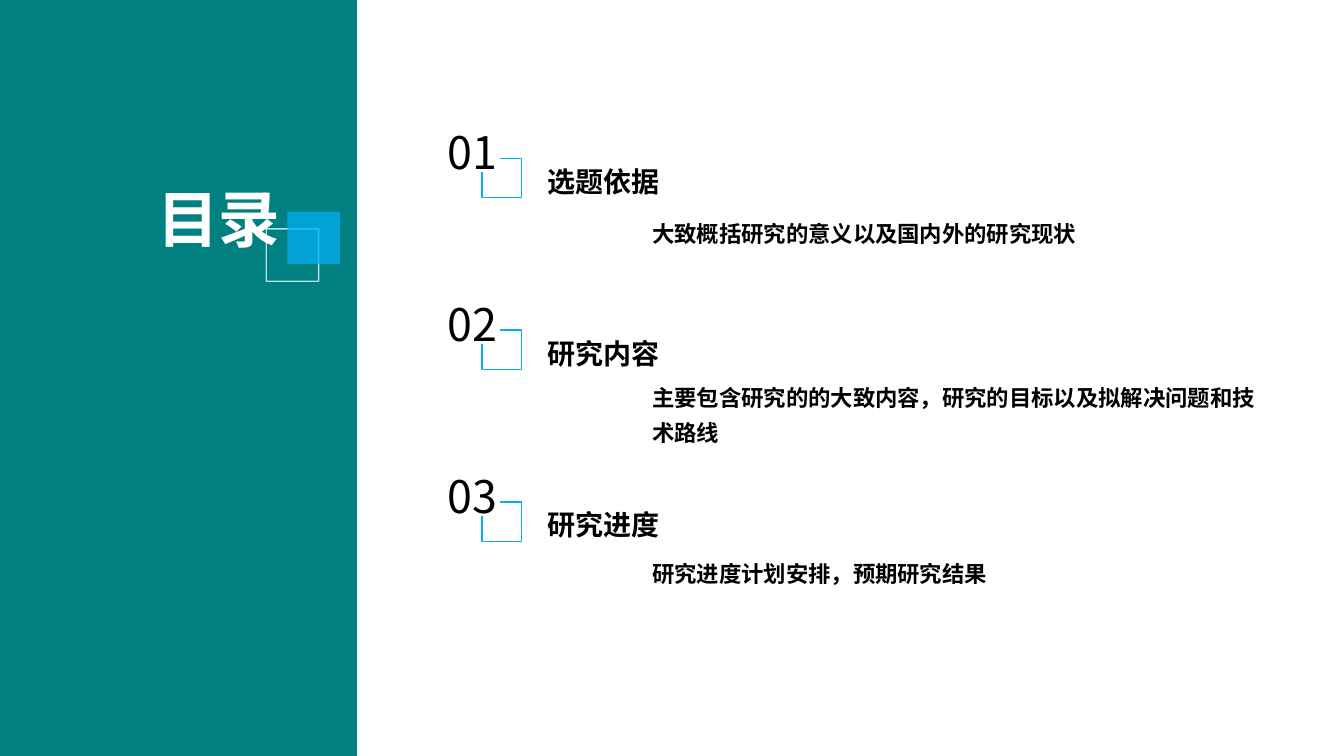
from lxml import etree
from pptx import Presentation
from pptx.dml.color import RGBColor
from pptx.enum.shapes import MSO_SHAPE
from pptx.enum.text import MSO_AUTO_SIZE
from pptx.oxml.ns import qn
from pptx.util import Inches, Pt

RECTANGLE = MSO_SHAPE.RECTANGLE
GROW = MSO_AUTO_SIZE.SHAPE_TO_FIT_TEXT
FONT = "Noto Sans CJK SC"
TEAL = RGBColor(0x00, 0x80, 0x80)
SKY = RGBColor(0x00, 0xB0, 0xF0)
WHITE = RGBColor(0xFF, 0xFF, 0xFF)
BLACK = RGBColor(0x00, 0x00, 0x00)

FIRST_TOP = 1.19
ROW_STEP = 1.705
SECTIONS = [
    ("01", "选题依据", 2.05, 0.42, ["大致概括研究的意义以及国内外的研究现状"]),
    ("02", "研究内容", 3.68, 0.77,
     ["主要包含研究的的大致内容，研究的目标以及拟解决问题和技", "术路线"]),
    ("03", "研究进度", 5.43, 0.42, ["研究进度计划安排，预期研究结果"]),
]


def add_text(page, area, lines, size, color=BLACK, bold=False, wrap=False):
    box = page.shapes.add_textbox(*map(Inches, area))
    frame = box.text_frame
    frame.word_wrap = wrap
    frame.auto_size = GROW
    frame.text = "\n".join(lines)
    for para in frame.paragraphs:
        for span in para.runs:
            span.font.name = FONT
            span.font.size = Pt(size)
            span.font.bold = bold
            span.font.color.rgb = color
            east_asian = etree.SubElement(span.font._element, qn("a:ea"))
            east_asian.set("typeface", FONT)
    return frame


def add_description(page, top, height, lines):
    frame = add_text(page, (5.87, top, 6.76, height), lines, 16, bold=True, wrap=True)
    for para in frame.paragraphs:
        para.line_spacing = 1.3
        properties = para._p.get_or_add_pPr()
        properties.set("marL", "0")
        properties.set("indent", str(Inches(0.5)))


def add_open_square(page, top):
    points = [(4.96, top), (5.17, top), (5.17, top + 0.39),
              (4.78, top + 0.39), (4.78, top + 0.14)]
    corners = [(Inches(x), Inches(y)) for x, y in points]
    builder = page.shapes.build_freeform(*corners[0])
    builder.add_line_segments(corners[1:], close=False)
    shape = builder.convert_to_shape()
    shape.shadow.inherit = False
    shape.fill.background()
    shape.line.color.rgb = SKY
    shape.line.width = Pt(1)


def paint(fill, color, opacity):
    fill.solid()
    fill.fore_color.rgb = color
    color_element = fill._xPr.find(qn("a:solidFill"))[0]
    etree.SubElement(color_element, qn("a:alpha")).set("val", str(opacity * 1000))


def add_rectangle(page, area, fill=None, line=None, opacity=100):
    shape = page.shapes.add_shape(RECTANGLE, *map(Inches, area))
    shape.shadow.inherit = False
    if fill is None:
        shape.fill.background()
    else:
        paint(shape.fill, fill, opacity)
    if line is None:
        shape.line.fill.background()
    else:
        shape.line.width = Pt(1)
        paint(shape.line.fill, line, opacity)


def main():
    deck = Presentation()
    deck.slide_width = Inches(13.33)
    deck.slide_height = Inches(7.5)
    page = deck.slides.add_slide(deck.slide_layouts[6])

    add_rectangle(page, (0, 0, 3.54, 7.5), fill=TEAL)
    for index, (number, heading, text_top, height, lines) in enumerate(SECTIONS):
        top = FIRST_TOP + index * ROW_STEP
        add_text(page, (4.34, top, 0.73, 0.64), [number], 32)
        add_open_square(page, top + 0.38)
        add_text(page, (5.33, top + 0.39, 1.32, 0.44), [heading], 20, bold=True)
        add_description(page, text_top, height, lines)

    add_text(page, (1.46, 1.75, 1.44, 0.84), ["目录"], 44, WHITE, bold=True)
    add_rectangle(page, (2.64, 2.27, 0.52, 0.52), line=WHITE, opacity=75)
    add_rectangle(page, (2.85, 2.1, 0.52, 0.52), fill=SKY, opacity=75)
    deck.save("out.pptx")


if __name__ == "__main__":
    main()
